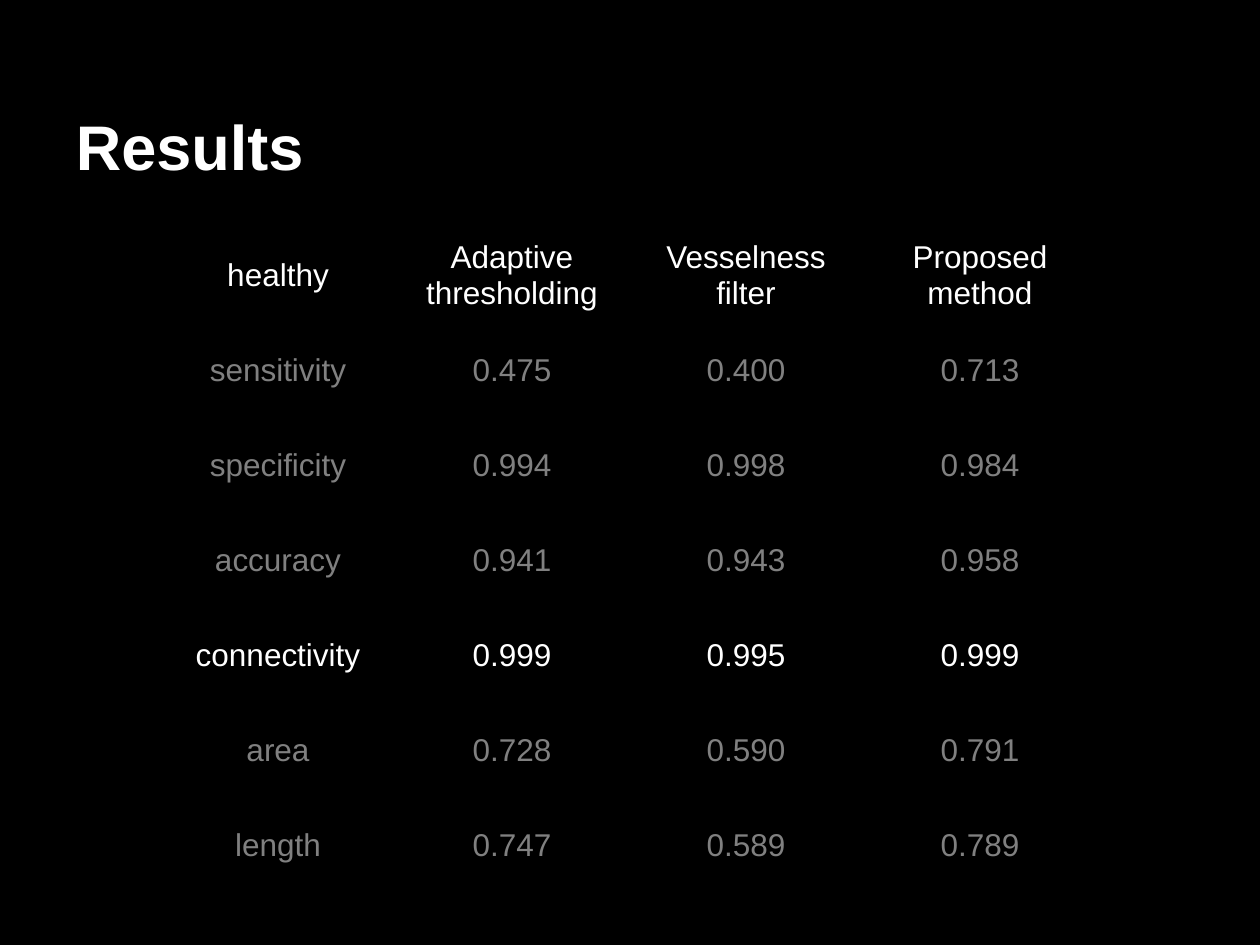
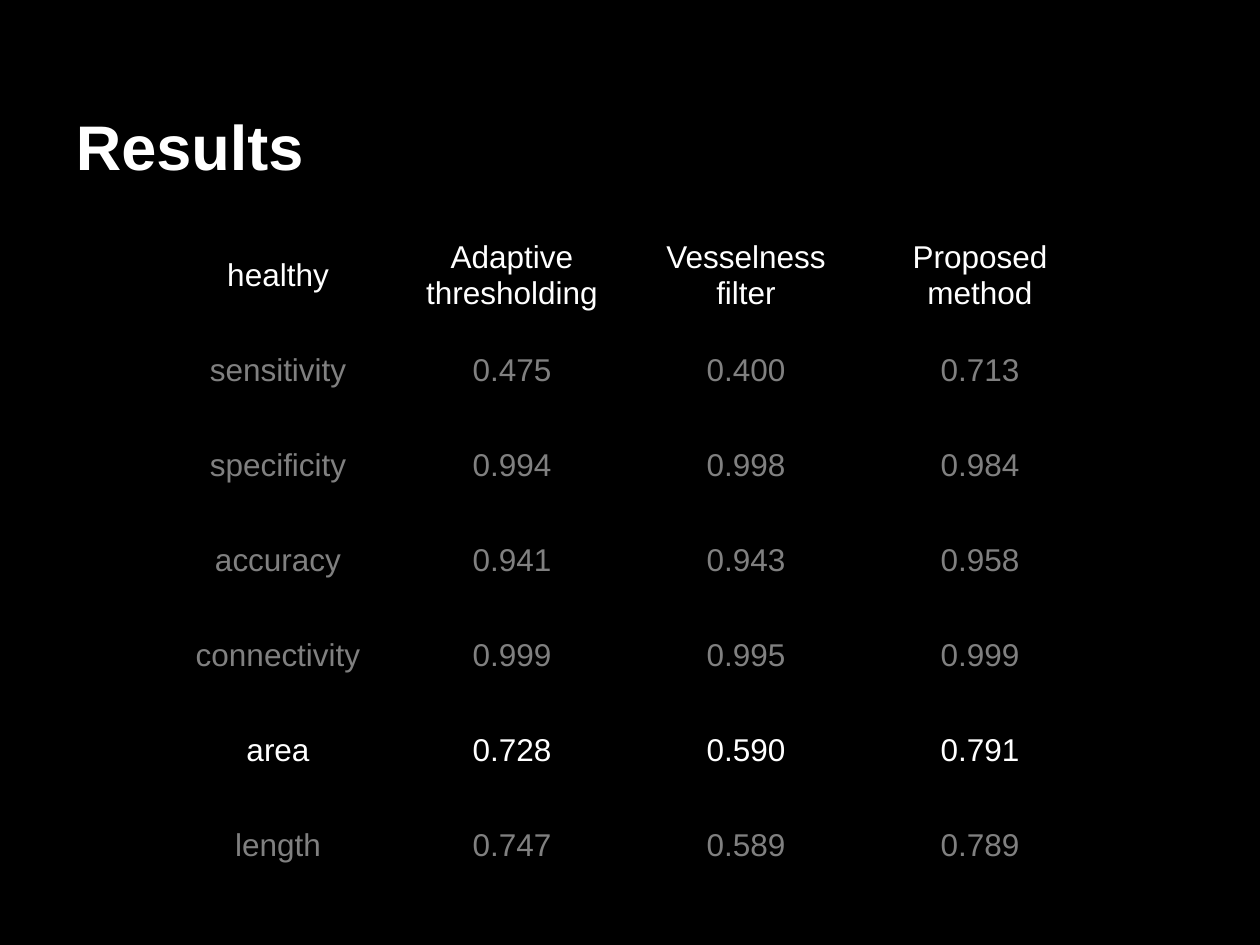
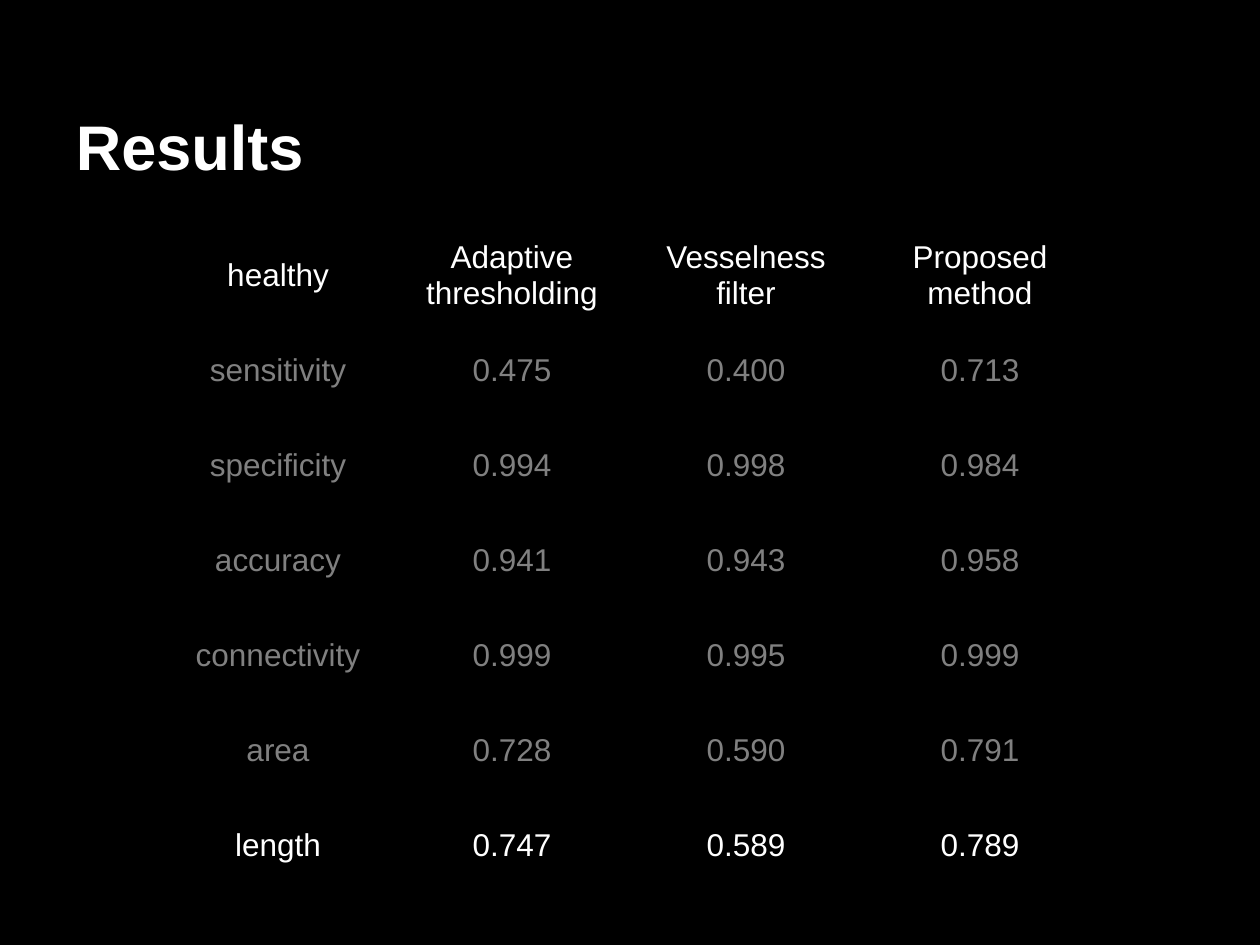
"""Build three results slides, each highlighting one measure of the healthy group."""
from pptx import Presentation
from pptx.dml.color import RGBColor
from pptx.enum.text import MSO_ANCHOR, PP_ALIGN
from pptx.oxml.ns import qn
from pptx.util import Pt

PX = 914400 / 126
BLACK = RGBColor(0x00, 0x00, 0x00)
WHITE = RGBColor(0xFF, 0xFF, 0xFF)
GRAY = RGBColor(0x80, 0x80, 0x80)
FONT = "Arial"
NO_STYLE_NO_GRID = "{2D5ABB26-0587-4C30-8999-92F81FD0307C}"
CENTER = PP_ALIGN.CENTER
MIDDLE = MSO_ANCHOR.MIDDLE
BOTTOM = MSO_ANCHOR.BOTTOM

COLUMN_WIDTH, ROW_HEIGHT = 234, 95
RESULTS = [
    ("healthy", "Adaptive thresholding", "Vesselness filter", "Proposed method"),
    ("sensitivity", "0.475", "0.400", "0.713"),
    ("specificity", "0.994", "0.998", "0.984"),
    ("accuracy", "0.941", "0.943", "0.958"),
    ("connectivity", "0.999", "0.995", "0.999"),
    ("area", "0.728", "0.590", "0.791"),
    ("length", "0.747", "0.589", "0.789"),
]


def px(*lengths):
    return [round(length * PX) for length in lengths]


def style_text(frame, size, color, bold=False):
    for run in frame.paragraphs[0].runs:
        run.font.name = FONT
        run.font.size = Pt(size)
        run.font.bold = bold
        run.font.color.rgb = color


prs = Presentation()
prs.slide_width, prs.slide_height = px(1260, 945)

for highlighted in ("connectivity", "area", "length"):
    slide = prs.slides.add_slide(prs.slide_layouts[6])
    slide.background.fill.solid()
    slide.background.fill.fore_color.rgb = BLACK

    heading = slide.shapes.add_textbox(*px(63, 13, 1134, 183)).text_frame
    heading.word_wrap = True
    heading.vertical_anchor = BOTTOM
    (heading.margin_left, heading.margin_top,
     heading.margin_right, heading.margin_bottom) = px(13, 13, 13, 13)
    heading.text = "Results"
    style_text(heading, 36, WHITE, bold=True)

    rows, columns = len(RESULTS), len(RESULTS[0])
    scores = slide.shapes.add_table(
        rows, columns,
        *px(161, 228, columns * COLUMN_WIDTH, rows * ROW_HEIGHT)).table
    scores.first_row = False
    scores.horz_banding = False
    scores._tbl.tblPr.find(qn("a:tableStyleId")).text = NO_STYLE_NO_GRID

    for column in scores.columns:
        column.width = px(COLUMN_WIDTH)[0]
    for row, values in zip(scores.rows, RESULTS):
        row.height = px(ROW_HEIGHT)[0]
        color = WHITE if values[0] in ("healthy", highlighted) else GRAY
        for cell, value in zip(row.cells, values):
            cell.fill.background()
            cell.vertical_anchor = MIDDLE
            (cell.margin_left, cell.margin_top,
             cell.margin_right, cell.margin_bottom) = px(5, 6, 5, 6)
            cell.text_frame.text = value
            cell.text_frame.paragraphs[0].alignment = CENTER
            style_text(cell.text_frame, 18, color)

prs.save("out.pptx")
